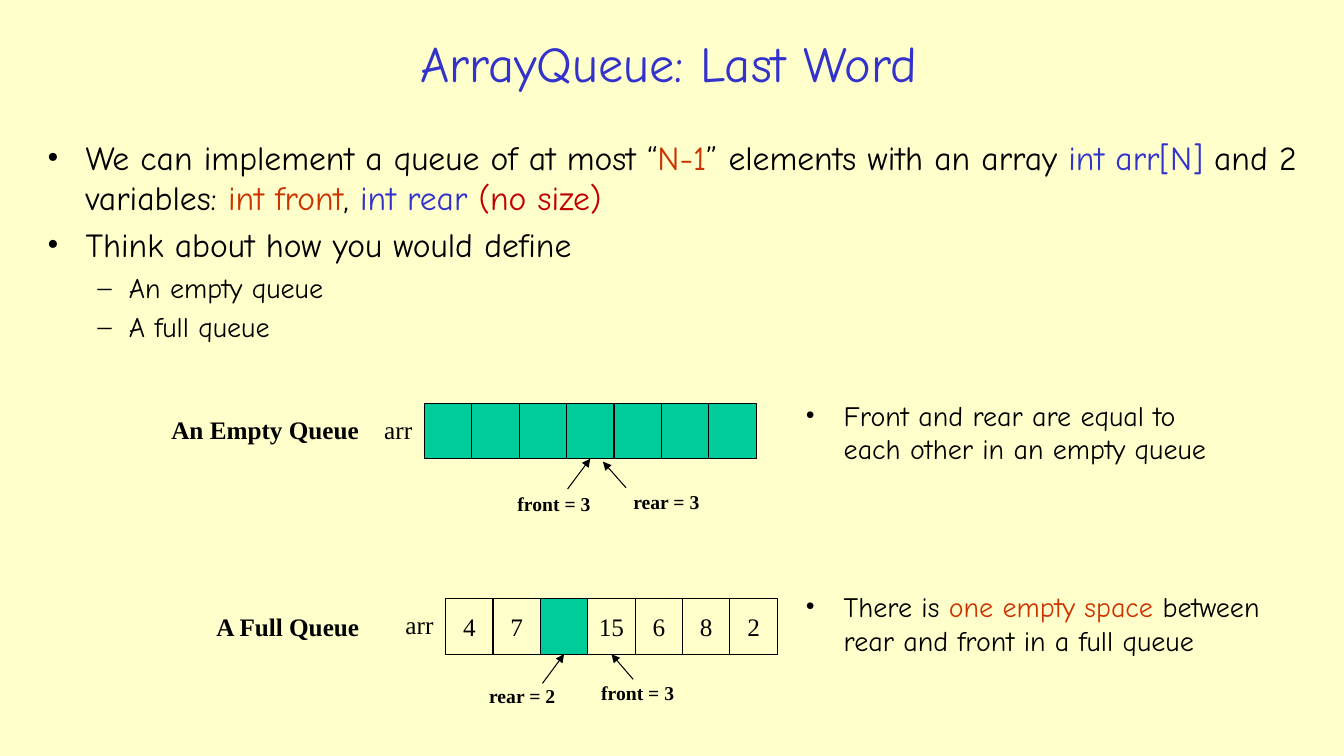
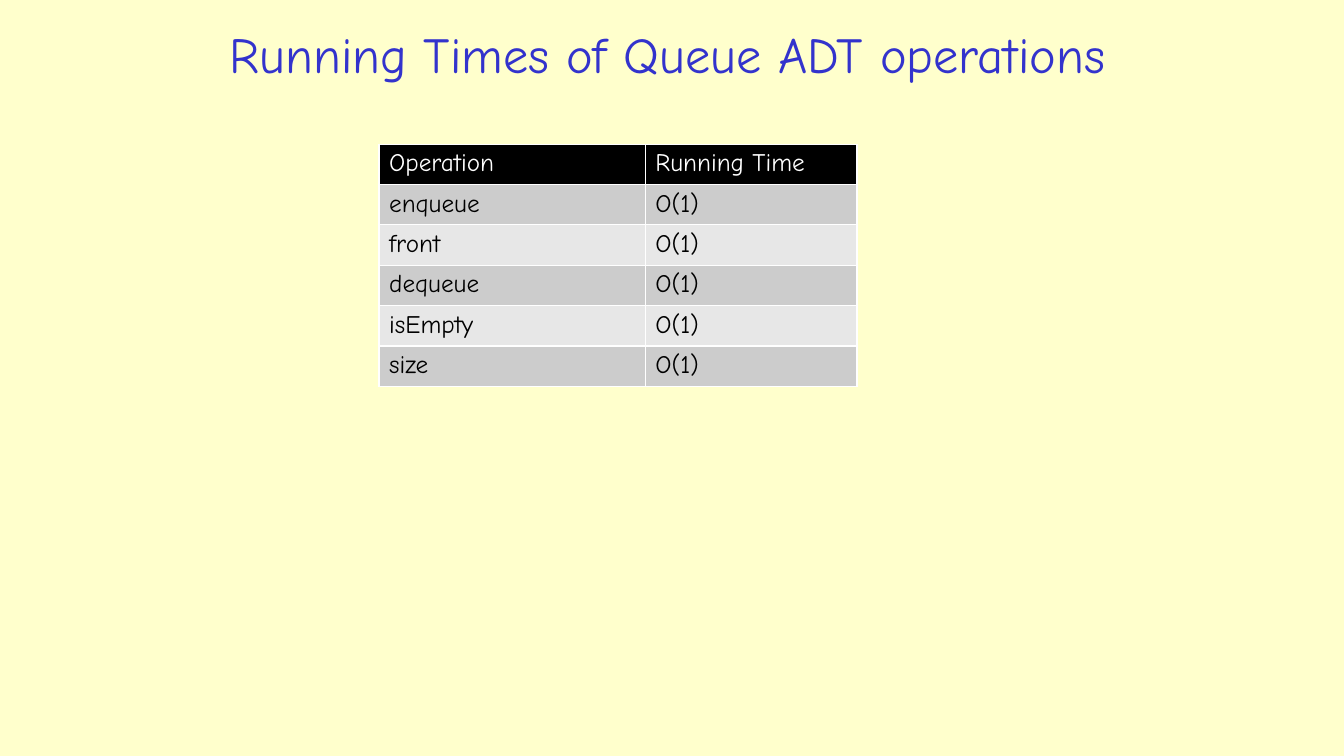
from dataclasses import dataclass

from lxml import etree
from pptx import Presentation
from pptx.dml.color import RGBColor
from pptx.enum.shapes import MSO_CONNECTOR, MSO_SHAPE
from pptx.enum.text import MSO_ANCHOR, PP_ALIGN
from pptx.oxml.ns import qn
from pptx.util import Inches, Pt

RECT = MSO_SHAPE.RECTANGLE
STRAIGHT = MSO_CONNECTOR.STRAIGHT
LEFT, CENTER = PP_ALIGN.LEFT, PP_ALIGN.CENTER
TOP, MIDDLE = MSO_ANCHOR.TOP, MSO_ANCHOR.MIDDLE
BOTTOM = 2  # connection site


@dataclass(frozen=True)
class Theme:
    paper: str = "FFFFCC"
    ink: str = "000000"
    white: str = "FFFFFF"
    blue: str = "3333CC"
    rust: str = "CC3300"
    red: str = "C00000"
    green: str = "00CC99"
    bands: tuple = ("E7E7E7", "CCCCCC")
    hand: str = "Comic Neue"
    serif: str = "Times New Roman"
    title: int = 36
    body: int = 24
    sub: int = 20
    label: int = 18
    tag: int = 14
    rule: float = 0.75
    edge: float = 1


T = Theme()
# bullet sign, left margin, hanging indent for each level
LEVELS = [("•", 0.38, -0.38), ("–", 0.81, -0.31)]
CELL_W, CELL_H = 0.47, 0.55


# ---- basics ----
def rgb(code):
    return RGBColor.from_string(code)


def put(obj, vals):
    for name, val in vals.items():
        setattr(obj, name, val)


def write(para, parts, size, face=T.hand, color=T.ink, bold=False):
    """Fill a paragraph from plain text or (text, color) parts."""
    if isinstance(parts, str):
        parts = [(parts, color)]
    for text, shade in parts:
        run = para.add_run()
        run.text = text
        put(run.font, {"name": face, "size": Pt(size), "bold": bold})
        run.font.color.rgb = rgb(shade)


def add_box(slide, at, wrap=True, anchor=TOP):
    frame = slide.shapes.add_textbox(*map(Inches, at)).text_frame
    put(frame, {"word_wrap": wrap, "vertical_anchor": anchor})
    return frame


# ---- text ----
def add_title(slide, text, at):
    para = add_box(slide, at, anchor=MIDDLE).paragraphs[0]
    para.alignment = CENTER
    write(para, text, T.title, color=T.blue)


def add_label(slide, text, at, size=T.label, bold=False):
    para = add_box(slide, at, wrap=False).paragraphs[0]
    para.alignment = CENTER
    write(para, text, size, T.serif, bold=bold)


def add_list(slide, at, items):
    """Items are (level, size, parts)."""
    frame = add_box(slide, at)
    for num, (level, size, parts) in enumerate(items):
        para = frame.add_paragraph() if num else frame.paragraphs[0]
        sign, margin, indent = LEVELS[level]
        props = para._p.get_or_add_pPr()
        props.set("marL", str(Inches(margin)))
        props.set("indent", str(Inches(indent)))
        etree.SubElement(props, qn("a:buFont")).set("typeface", T.serif)
        etree.SubElement(props, qn("a:buChar")).set("char", sign)
        put(para, {"level": level, "alignment": LEFT,
                   "space_before": Pt(size * 0.2 if num else 0)})
        write(para, parts, size)


# ---- queue drawing ----
def add_cell(slide, left, top, text, filled):
    cell = slide.shapes.add_shape(
        RECT, *map(Inches, (left, top, CELL_W, CELL_H)))
    cell.shadow.inherit = False
    if filled:
        cell.fill.solid()
        cell.fill.fore_color.rgb = rgb(T.green)
    else:
        cell.fill.background()
    cell.line.color.rgb = rgb(T.ink)
    cell.line.width = Pt(T.rule)
    frame = cell.text_frame
    put(frame, {"margin_left": 0, "margin_right": 0, "margin_top": 0,
                "margin_bottom": 0, "word_wrap": False,
                "vertical_anchor": MIDDLE})
    if text:
        frame.paragraphs[0].alignment = CENTER
        write(frame.paragraphs[0], text, T.label, T.serif)
    return cell


def add_arrow(slide, start, end, cell=None):
    arrow = slide.shapes.add_connector(
        STRAIGHT, *map(Inches, (*start, *end)))
    if cell is not None:
        arrow.end_connect(cell, BOTTOM)
    arrow.line.color.rgb = rgb(T.ink)
    arrow.line.width = Pt(T.rule)
    line = arrow.line._get_or_add_ln()
    etree.SubElement(line, qn("a:tailEnd")).set("type", "triangle")
    etree.SubElement(line.getparent(), qn("a:effectLst"))


def add_queue(slide, left, top, values, green, marks):
    """Marks are (text, box, arrow start, arrow end, joined cell index)."""
    cells = [add_cell(slide, left + i * CELL_W, top, text, i in green)
             for i, text in enumerate(values)]
    add_label(slide, "arr", (left - 0.5, top + 0.06, 0.48, 0.4))
    for text, box, start, end, index in marks:
        add_label(slide, text, box, T.tag, True)
        joined = None if index is None else cells[index]
        add_arrow(slide, start, end, joined)


# ---- table ----
def add_edges(cell):
    props = cell._tc.get_or_add_tcPr()
    for side in "LRTB":
        line = etree.SubElement(props, qn(f"a:ln{side}"))
        line.set("w", str(Pt(T.edge)))
        fill = etree.SubElement(line, qn("a:solidFill"))
        etree.SubElement(fill, qn("a:srgbClr")).set("val", T.white)


def add_grid(slide, left, top, widths, height, rows):
    size = (left, top, sum(widths), height * len(rows))
    table = slide.shapes.add_table(
        len(rows), len(widths), *map(Inches, size)).table
    table.horz_banding = False
    for col, width in zip(table.columns, widths):
        col.width = Inches(width)
    for r, texts in enumerate(rows):
        table.rows[r].height = Inches(height)
        for c, text in enumerate(texts):
            cell = table.cell(r, c)
            add_edges(cell)
            cell.fill.solid()
            cell.fill.fore_color.rgb = rgb(T.bands[r % 2] if r else T.ink)
            write(cell.text_frame.paragraphs[0], text, T.label,
                  color=T.ink if r else T.white)


# ---- slides ----
def last_word(slide):
    add_title(slide, "ArrayQueue: Last Word", (0.37, 0.15, 12.52, 0.93))
    add_list(slide, (0.37, 1.31, 12.69, 2.43), [
        (0, T.body, [
            ("We can implement a queue of at most “", T.ink),
            ("N-1", T.rust),
            ("” elements with an array ", T.ink),
            ("int arr[N]", T.blue),
            (" and 2 variables: ", T.ink),
            ("int front", T.rust),
            (", ", T.ink),
            ("int rear ", T.blue),
            ("(no size)", T.red)]),
        (0, T.body, "Think about how you would define"),
        (1, T.sub, "An empty queue"),
        (1, T.sub, "A full queue"),
    ])

    # empty queue
    add_label(slide, "An Empty Queue", (1.58, 4.06, 2.1, 0.4), bold=True)
    add_queue(slide, 4.21, 4, [""] * 7, range(7), [
        ("front = 3", (5.03, 4.83, 0.93, 0.33), (5.63, 4.85), (5.86, 4.55), 3),
        ("rear = 3", (6.18, 4.81, 0.86, 0.33), (6.21, 4.84), (5.98, 4.58),
         None),
    ])
    add_list(slide, (7.89, 3.9, 4.44, 1.08), [
        (0, T.sub, "Front and rear are equal to each other in an empty queue"),
    ])

    # full queue
    add_label(slide, "A Full Queue", (1.77, 6.02, 2.17, 0.4), bold=True)
    add_queue(slide, 4.42, 5.94, ["4", "7", "", "15", "6", "8", "2"], [2], [
        ("rear = 2", (4.75, 6.74, 0.86, 0.33), (5.38, 6.78), (5.6, 6.49), 2),
        ("front = 3", (5.86, 6.71, 0.93, 0.33), (6.28, 6.74), (6.07, 6.49), 3),
    ])
    add_list(slide, (7.89, 5.8, 5.07, 1.08), [
        (0, T.sub, [
            ("There is ", T.ink),
            ("one empty space", T.rust),
            (" between rear and front in a full queue", T.ink)]),
    ])


def run_times(slide):
    add_title(slide, "Running Times of Queue ADT operations",
              (0.65, 0.15, 11.94, 0.76))
    names = ["enqueue", "front", "dequeue", "isEmpty", "size"]
    rows = [("Operation", "Running Time")] + [(n, "O(1)") for n in names]
    add_grid(slide, 3.76, 1.43, (2.64, 2.1), 0.39, rows)


def main():
    deck = Presentation()
    put(deck, {"slide_width": Inches(13.33), "slide_height": Inches(7.5)})
    # shared background
    fill = deck.slide_master.background.fill
    fill.solid()
    fill.fore_color.rgb = rgb(T.paper)
    blank = deck.slide_layouts[6]
    for build in (last_word, run_times):
        build(deck.slides.add_slide(blank))
    deck.save("out.pptx")


if __name__ == "__main__":
    main()
